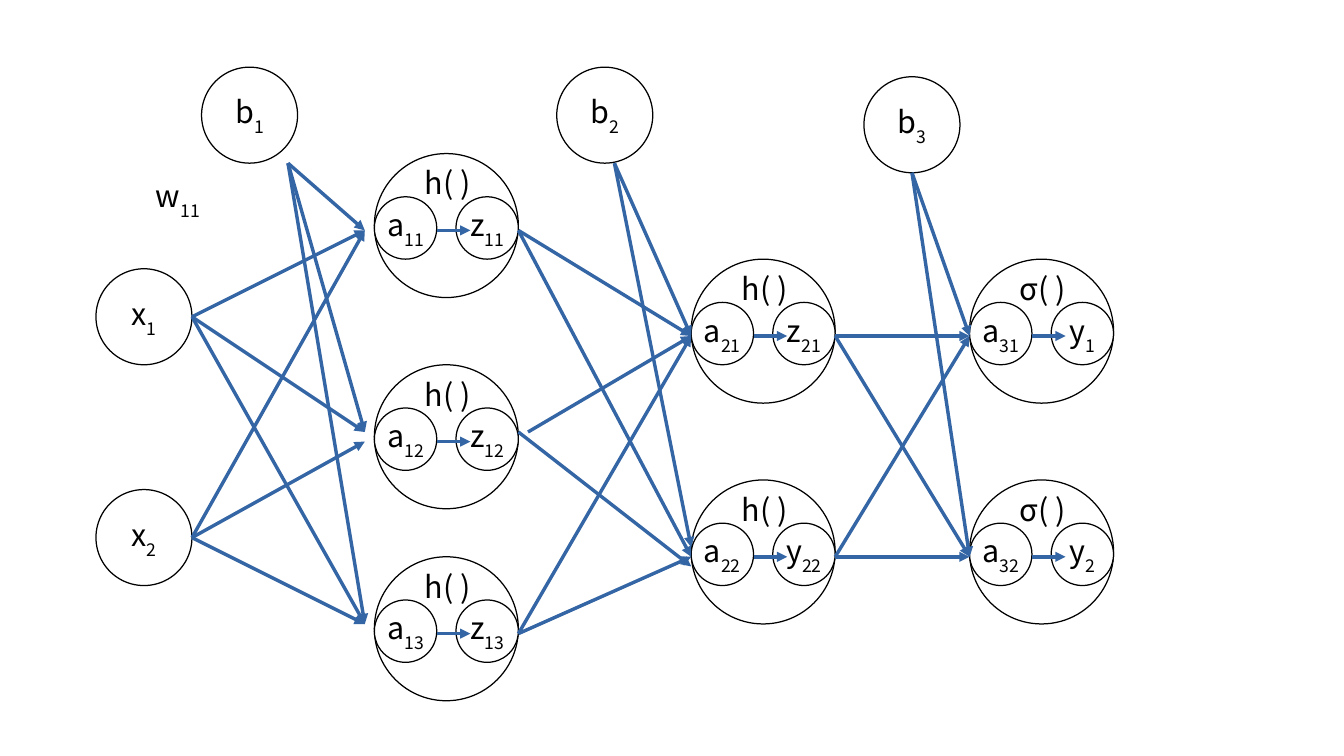
import pptx
import pptx.dml.color
import pptx.enum.shapes
import pptx.enum.text
import pptx.oxml.ns
import pptx.util
from lxml import etree

COLORS = {"paper": "FFFFFF", "ink": "000000", "arrow": "3465A4"}
RGB = {name: pptx.dml.color.RGBColor.from_string(code) for name, code in COLORS.items()}
FONT = "Noto Sans CJK KR"
CELL = pptx.util.Cm(0.2)  # the slide is 140 grid cells wide
INPUT, NEURON, VALUE = 10, 15, 6.5  # circle diameters in cells

deck = pptx.Presentation()
deck.slide_width, deck.slide_height = 140 * CELL, int(78.75 * CELL)
page = deck.slides.add_slide(deck.slide_layouts[6])


def add_label(left, top, width, height, text="", index="", circle=True):
    """Add a circle or a plain text box, with a letter and a subscript."""
    bounds = [int(cells * CELL) for cells in (left, top, width, height)]
    if circle:
        box = page.shapes.add_shape(pptx.enum.shapes.MSO_SHAPE.OVAL, *bounds)
        box.shadow.inherit = False
        box.fill.solid()
        box.fill.fore_color.rgb = RGB["paper"]
        box.line.color.rgb = RGB["ink"]
        box.line.width = 0  # hairline
        box.text_frame.vertical_anchor = pptx.enum.text.MSO_ANCHOR.MIDDLE
    else:
        box = page.shapes.add_textbox(*bounds)
        box.text_frame.auto_size = pptx.enum.text.MSO_AUTO_SIZE.SHAPE_TO_FIT_TEXT
    box.text_frame.word_wrap = not circle
    para = box.text_frame.paragraphs[0]
    para.alignment = pptx.enum.text.PP_ALIGN.CENTER if circle else pptx.enum.text.PP_ALIGN.LEFT
    for part, baseline in ((text, None), (index, "-33000")):
        if part:
            span = para.add_run()
            span.text = part
            span.font.name = FONT
            span.font.size = pptx.util.Pt(18)
            span.font.color.rgb = RGB["ink"]
            if baseline:
                span._r.get_or_add_rPr().set("baseline", baseline)


def add_arrow(*ends):
    """Add a thin arrow between two points given as x, y, x, y in cells."""
    arrow = page.shapes.add_connector(
        pptx.enum.shapes.MSO_CONNECTOR.STRAIGHT, *[int(cells * CELL) for cells in ends])
    arrow.line.color.rgb = RGB["arrow"]
    arrow.line.width = 0
    head = etree.SubElement(arrow.line._get_or_add_ln(), pptx.oxml.ns.qn("a:tailEnd"))
    head.set("type", "triangle")
    etree.SubElement(arrow._element.spPr, pptx.oxml.ns.qn("a:effectLst"))


# Inputs and biases
for left, top, letter, index in (
    (10, 28, "x", "1"), (10, 51, "x", "2"),
    (21, 7, "b", "1"), (58, 7, "b", "2"), (90, 8, "b", "3"),
):
    add_label(left, top, INPUT, INPUT, letter, index)

# Neurons: weighted sum, activation function and result
for left, top, function, sum_index, result, result_index in (
    (39, 16, "h", "11", "z", "11"),
    (39, 38, "h", "12", "z", "12"),
    (39, 58, "h", "13", "z", "13"),
    (72, 27, "h", "21", "z", "21"),
    (72, 50, "h", "22", "y", "22"),
    (101, 27, "σ", "31", "y", "1"),
    (101, 50, "σ", "32", "y", "2"),
):
    add_label(left, top, NEURON, NEURON)
    add_label(left, top + 4.5, VALUE, VALUE, "a", sum_index)
    add_label(left + NEURON - VALUE, top + 4.5, VALUE, VALUE, result, result_index)
    add_arrow(left + VALUE, top + 8, left + 10, top + 8)
    add_label(left + 4, top + 0.5, 8, 5.5, function + "( )", circle=False)

# Links between layers: start x, start y, end x, heights of the arrowheads
for start_x, start_y, end_x, end_rows in (
    (20, 33, 38, (24, 45, 65)),
    (20, 56, 38, (24, 46, 65)),
    (30, 17, 38, (24, 45, 65)),
    (54, 24, 72, (35, 58)),
    (55, 45, 72, (35,)),
    (54, 45, 72, (59,)),
    (54, 66, 72, (35, 58)),
    (64, 17, 72, (35, 57)),
    (87, 35, 101, (35, 58)),
    (87, 58, 101, (35, 58)),
    (95, 18, 101, (35, 58)),
):
    for end_y in end_rows:
        add_arrow(start_x, start_y, end_x, end_y)

# Weight
add_label(15, 17.8, 9, 6.2, "w", "11", circle=False)

deck.save("out.pptx")
